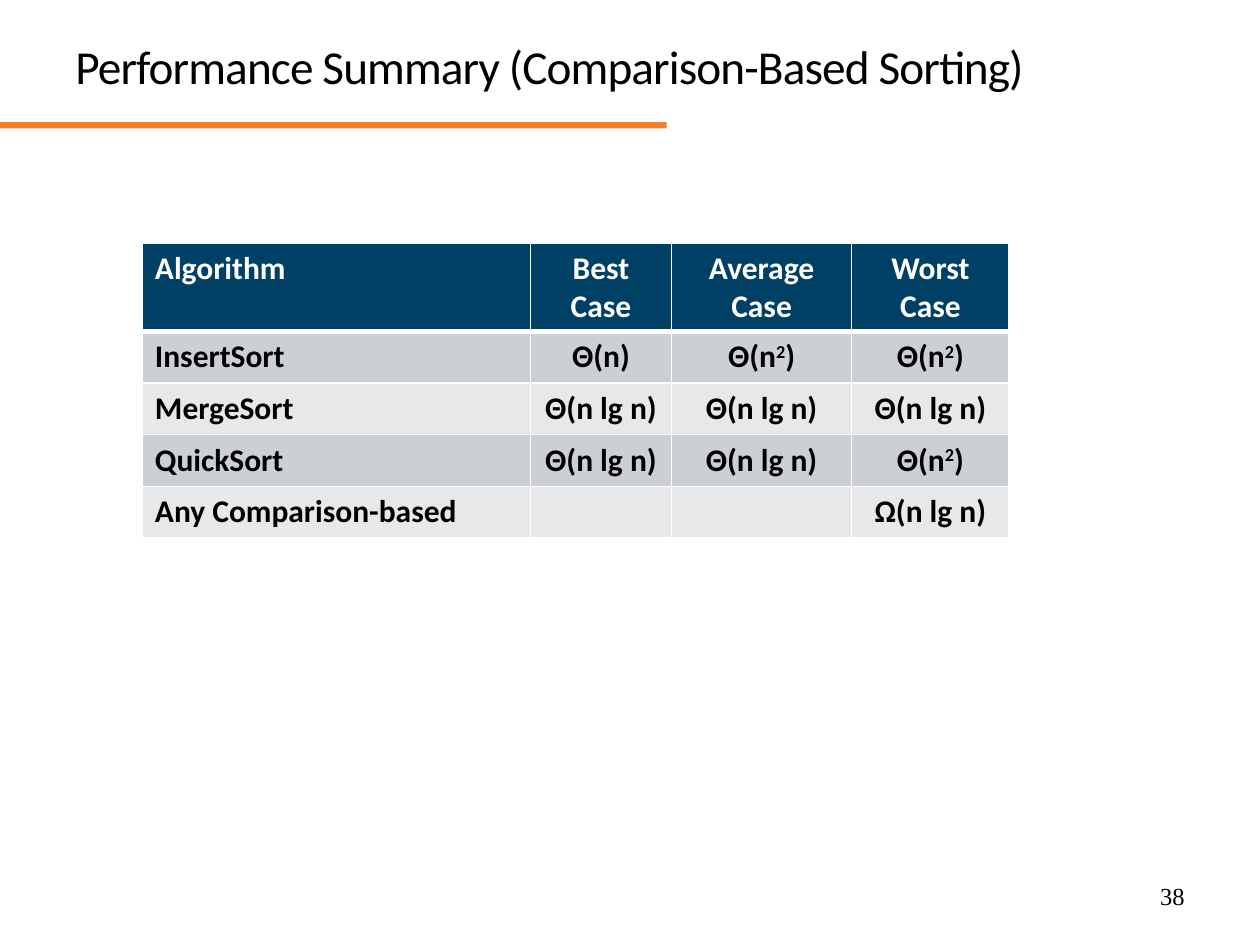
import dataclasses
import itertools

import pptx
import pptx.dml.color
import pptx.enum.shapes
import pptx.enum.text
import pptx.oxml
import pptx.oxml.ns
import pptx.util

Inches = pptx.util.Inches
Pt = pptx.util.Pt
RGBColor = pptx.dml.color.RGBColor
Align = pptx.enum.text.PP_ALIGN

BLACK = RGBColor(0x00, 0x00, 0x00)
WHITE = RGBColor(0xFF, 0xFF, 0xFF)
ORANGE = RGBColor(0xF4, 0x81, 0x2A)
NAVY = RGBColor(0x00, 0x40, 0x65)
DARK_BAND = RGBColor(0xCC, 0xCF, 0xD3)
LIGHT_BAND = RGBColor(0xE7, 0xE8, 0xEA)

COLUMN_WIDTHS = (3.08, 1.12, 1.43, 1.25)
ROW_HEIGHT = 0.41


@dataclasses.dataclass(frozen=True)
class Performance:
    algorithm: str
    best: str
    average: str
    worst: str


HEADINGS = Performance("Algorithm", "Best Case", "Average Case", "Worst Case")
SORTS = (
    Performance("InsertSort", "Θ(n)", "Θ(n^2^)", "Θ(n^2^)"),
    Performance("MergeSort", "Θ(n lg n)", "Θ(n lg n)", "Θ(n lg n)"),
    Performance("QuickSort", "Θ(n lg n)", "Θ(n lg n)", "Θ(n^2^)"),
    Performance("Any Comparison-based", "", "", "Ω(n lg n)"),
)


def write(frame, text: str, *, size: float, color: RGBColor = BLACK,
          font: str = "Calibri", bold: bool = False, align=Align.LEFT,
          line_spacing: float = 1.0, tracking: float = 0) -> None:
    """Write text, raising whatever stands between a pair of carets."""
    frame.word_wrap = True
    paragraph = frame.paragraphs[0]
    paragraph.alignment = align
    paragraph.line_spacing = line_spacing
    paragraph.font.size = Pt(size)
    for position, part in enumerate(text.split("^")):
        if not part:
            continue
        run = paragraph.add_run()
        run.text = part
        run.font.name = font
        run.font.size = Pt(size)
        run.font.bold = bold
        run.font.color.rgb = color
        properties = run._r.get_or_add_rPr()
        if tracking:
            properties.set("spc", str(round(tracking * 100)))
        if position % 2:
            properties.set("baseline", "30000")


def add_text(slide, text: str, left: float, top: float, width: float,
             height: float, **text_format) -> None:
    box = slide.shapes.add_textbox(
        Inches(left), Inches(top), Inches(width), Inches(height))
    write(box.text_frame, text, **text_format)


def set_borders(cell, *, bottom: float) -> None:
    properties = cell._tc.get_or_add_tcPr()
    sides = (("lnL", 1), ("lnR", 1), ("lnT", 1), ("lnB", bottom))
    for position, (side, points) in enumerate(sides):
        border = pptx.oxml.parse_xml(
            f'<a:{side} {pptx.oxml.ns.nsdecls("a")} w="{Pt(points)}">'
            f'<a:solidFill><a:srgbClr val="{WHITE}"/></a:solidFill>'
            f'</a:{side}>')
        properties.insert(position, border)


def add_performance_table(slide, left: float, top: float) -> None:
    rows = (HEADINGS, *SORTS)
    table = slide.shapes.add_table(
        len(rows), len(COLUMN_WIDTHS), Inches(left), Inches(top),
        Inches(sum(COLUMN_WIDTHS)), Inches(ROW_HEIGHT * len(rows))).table
    for column, width in zip(table.columns, COLUMN_WIDTHS):
        column.width = Inches(width)
    bands = itertools.chain([NAVY], itertools.cycle([DARK_BAND, LIGHT_BAND]))
    for row_number, (performance, band) in enumerate(zip(rows, bands)):
        heading = performance is HEADINGS
        table.rows[row_number].height = Inches(ROW_HEIGHT)
        for column_number, text in enumerate(dataclasses.astuple(performance)):
            cell = table.cell(row_number, column_number)
            cell.fill.solid()
            cell.fill.fore_color.rgb = band
            set_borders(cell, bottom=3 if heading else 1)
            write(cell.text_frame, text, size=18, bold=True,
                  color=WHITE if heading else BLACK,
                  align=Align.CENTER if column_number else Align.LEFT)


def main() -> None:
    deck = pptx.Presentation()
    deck.slide_width, deck.slide_height = Inches(10), Inches(7.5)
    slide = deck.slides.add_slide(deck.slide_layouts[6])

    title_rule = slide.shapes.add_shape(
        pptx.enum.shapes.MSO_SHAPE.RECTANGLE,
        Inches(0), Inches(0.97), Inches(5.29), Inches(0.05))
    title_rule.shadow.inherit = False
    title_rule.fill.solid()
    title_rule.fill.fore_color.rgb = ORANGE
    title_rule.line.fill.background()

    add_text(slide, "Performance Summary (Comparison-Based Sorting)",
             0.5, 0.3, 9, 0.67, size=27, line_spacing=0.9, tracking=-0.5)
    add_text(slide, "38", 7.17, 6.94, 2.33, 0.4, size=14,
             font="Times New Roman", align=Align.RIGHT)
    add_performance_table(slide, 1.13, 1.93)
    deck.save("out.pptx")


if __name__ == "__main__":
    main()
